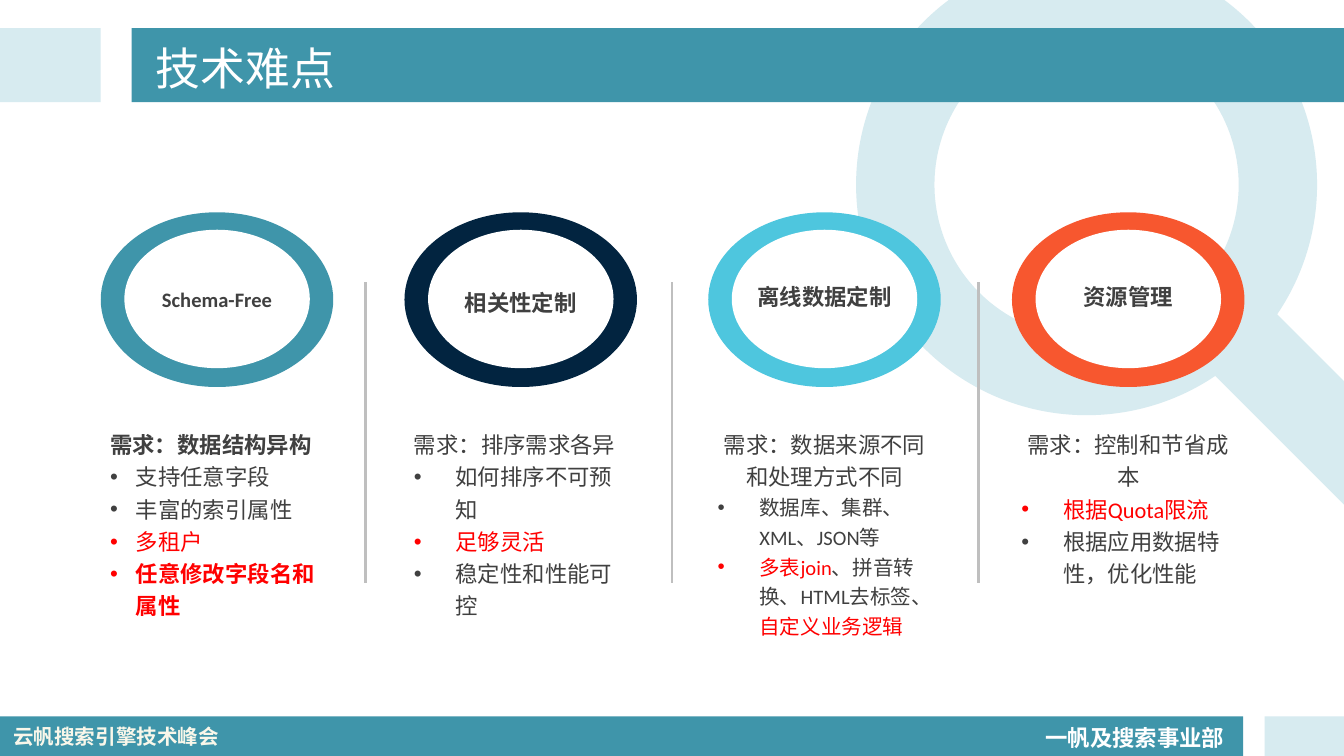
from lxml import etree
from pptx import Presentation
from pptx.dml.color import RGBColor
from pptx.enum.shapes import MSO_CONNECTOR, MSO_SHAPE
from pptx.enum.text import MSO_ANCHOR, MSO_AUTO_SIZE, PP_ALIGN
from pptx.oxml.ns import qn
from pptx.util import Inches, Pt

RECT, OVAL = MSO_SHAPE.RECTANGLE, MSO_SHAPE.OVAL
DONUT, PILL = MSO_SHAPE.DONUT, MSO_SHAPE.ROUNDED_RECTANGLE
LEFT, CENTER = PP_ALIGN.LEFT, PP_ALIGN.CENTER
TOP, MIDDLE = MSO_ANCHOR.TOP, MSO_ANCHOR.MIDDLE
STRAIGHT = MSO_CONNECTOR.STRAIGHT
NO_FIT = MSO_AUTO_SIZE.NONE

TEAL, PALE, WHITE = "3F95AA", "D7EBF0", "FFFFFF"
INK, RED, GRAY, CREAM = "404040", "FF0000", "BFBFBF", "F9F7EA"
LATIN, CJK = "Calibri", "Noto Sans CJK SC"
COLUMNS, ROWS = 100, 56.25
PITCH = 22.6


def rgb(value):
    return RGBColor.from_string(value)


class SlideKit:
    def __init__(self, prs, layout):
        self.width, self.height = prs.slide_width, prs.slide_height
        self.slide = prs.slides.add_slide(prs.slide_layouts[layout])
        self.shapes = self.slide.shapes

    def box(self, left, top, width, height):
        col, row = self.width / COLUMNS, self.height / ROWS
        return [round(v) for v in (left * col, top * row, width * col, height * row)]

    def shape(self, kind, area, fill, adj=None, turn=0):
        s = self.shapes.add_shape(kind, *self.box(*area))
        s.shadow.inherit = False
        s.fill.solid()
        s.fill.fore_color.rgb = rgb(fill)
        s.line.fill.background()
        s.rotation = turn
        if adj is not None:
            s.adjustments[0] = adj

    def divider(self, col, top, bottom):
        x, y, _, h = self.box(col, top, 0, bottom - top)
        line = self.shapes.add_connector(STRAIGHT, x, y, x, y + h)
        line.line.color.rgb = rgb(GRAY)
        line.line.width = Pt(1.5)
        etree.SubElement(line.element.spPr, qn("a:effectLst"))

    def run(self, p, text, size, color=INK, bold=False, font=LATIN):
        r = p.add_run()
        r.text = text
        r.font.size, r.font.bold, r.font.name = Pt(size), bold, font
        r.font.color.rgb = rgb(color)
        etree.SubElement(r.font._element, qn("a:ea")).set("typeface", CJK)

    def label(self, area, text, size, color=INK, align=LEFT, spacing=1, font=LATIN):
        tf = self.shapes.add_textbox(*self.box(*area)).text_frame
        tf.word_wrap = True
        p = tf.paragraphs[0]
        p.alignment, p.line_spacing = align, spacing
        self.run(p, text, size, color, True, font)

    def placeholder(self, idx, area, anchor):
        ph = self.slide.placeholders[idx]
        ph.left, ph.top, ph.width, ph.height = self.box(*area)
        ph.element.getparent().append(ph.element)
        tf = ph.text_frame
        tf.word_wrap, tf.auto_size, tf.vertical_anchor = True, NO_FIT, anchor
        return tf

    def title(self, area, text):
        p = self.placeholder(0, area, MIDDLE).paragraphs[0]
        p.alignment = LEFT
        self.run(p, text, 24, WHITE)

    def needs(self, idx, area, heading, items, align=CENTER, size=12, indent=0.31, bold=False):
        tf = self.placeholder(idx, area, TOP)
        rows = [[(heading, INK, bold)]] + items
        for i, runs in enumerate(rows):
            p = tf.add_paragraph() if i else tf.paragraphs[0]
            p.alignment = LEFT if i else align
            p.line_spacing, p.space_before, p.space_after = 1.2, Pt(0), Pt(0)
            pPr = p._p.get_or_add_pPr()
            hang = Inches(indent) if i else 0
            pPr.set("marL", str(hang))
            pPr.set("indent", str(-hang))
            if i:
                etree.SubElement(pPr, qn("a:buFont")).set("typeface", "Arial")
                etree.SubElement(pPr, qn("a:buChar")).set("char", "•")
            else:
                etree.SubElement(pPr, qn("a:buNone"))
            for text, color, strong in runs:
                self.run(p, text, size if i else 12, color, strong)

    def ring(self, col, color, text, size, text_top):
        self.shape(OVAL, (col, 15.8, 17.3, 13), color)
        self.shape(OVAL, (col + 1.75, 17.1, 13.8, 10.3), WHITE)
        self.label((col + 1.75, text_top, 13.8, 3), text, size, align=CENTER)


def plain(text, color=INK, bold=False):
    return [(text, color, bold)]


TOPICS = [
    (TEAL, "Schema-Free", 11, 20.9, "需求：数据结构异构",
     [plain("支持任意字段"), plain("丰富的索引属性"), plain("多租户", RED),
      plain("任意修改字段名和属性", RED, True)],
     {"align": LEFT, "indent": 0.19, "bold": True}),
    ("022440", "相关性定制", 12, 21, "需求：排序需求各异",
     [plain("如何排序不可预知"), plain("足够灵活", RED), plain("稳定性和性能可控")],
     {"align": LEFT}),
    ("4EC6DE", "离线数据定制", 12, 20.6, "需求：数据来源不同和处理方式不同",
     [plain("数据库、集群、XML、JSON等"),
      plain("多表join", RED) + plain("、拼音转换、HTML去标签、") + plain("自定义业务逻辑", RED)],
     {"size": 11}),
    ("F7572F", "资源管理", 12, 20.6, "需求：控制和节省成本",
     [plain("根据Quota限流", RED), plain("根据应用数据特性，优化性能")], {}),
]


def main():
    prs = Presentation()
    prs.slide_width, prs.slide_height = Inches(10), Inches(5.625)
    kit = SlideKit(prs, 4)

    kit.shape(DONUT, (63.7, -3.4, 34.3, 34.3), PALE, 0.17)
    kit.shape(PILL, (86.6, 27, 21.4, 6.5), PALE, 0.5, 45)
    kit.shape(RECT, (0, 53.3, 92.5, 2.95), TEAL)
    kit.shape(RECT, (94.1, 53.3, 5.9, 2.95), PALE)
    kit.shape(RECT, (0, 2.1, 7.5, 5.5), PALE)
    kit.shape(RECT, (9.8, 2.1, 90.2, 5.5), TEAL)
    kit.label((76.8, 53, 16, 3.3), "一帆及搜索事业部", 12, WHITE, spacing=1.2)
    kit.label((0, 53.4, 17.7, 2.9), "云帆搜索引擎技术峰会", 11, CREAM, font=CJK)
    kit.title((10.6, 2.3, 84.4, 5.4), "技术难点")

    for i, (color, name, size, text_top, heading, items, style) in enumerate(TOPICS):
        col = 7.5 + i * PITCH
        kit.ring(col, color, name, size, text_top)
        kit.needs(i + 1, (col - 0.3, 31.2, 17.9, 17), heading, items, **style)
    for i in range(3):
        kit.divider(27.2 + i * 22.8, 21, 43.4)

    prs.save("out.pptx")


if __name__ == "__main__":
    main()
